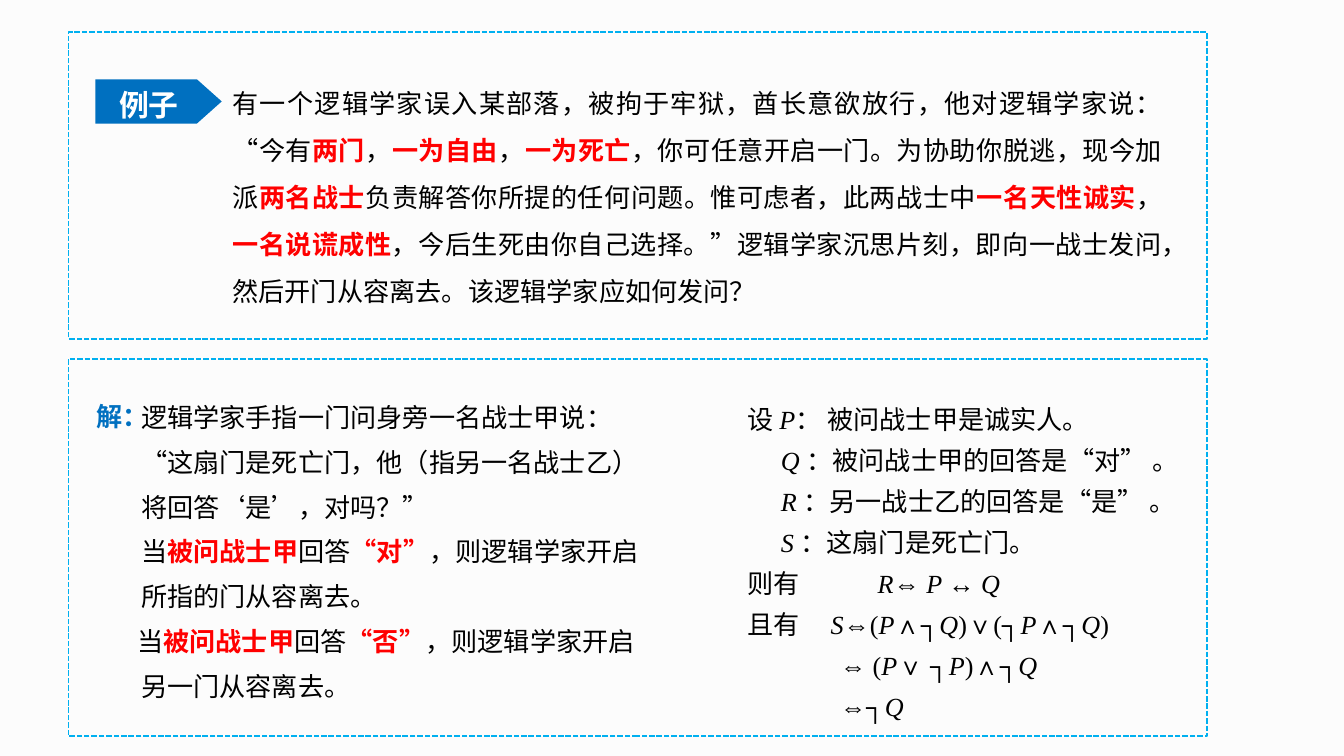
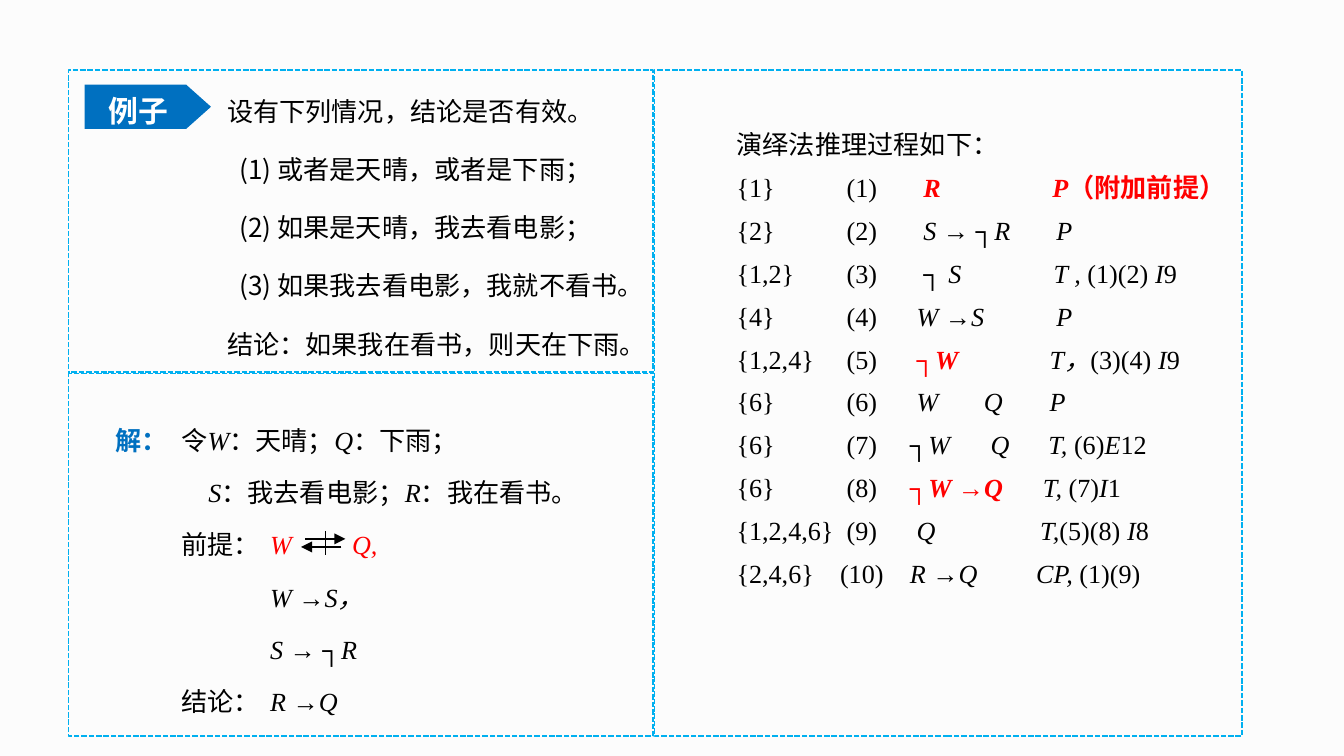
from dataclasses import dataclass
from typing import Iterator, Optional, Union

from lxml.etree import SubElement
from pptx import Presentation
from pptx.dml.color import RGBColor
from pptx.enum.dml import MSO_LINE
from pptx.enum.shapes import MSO_CONNECTOR, MSO_SHAPE
from pptx.enum.text import MSO_ANCHOR, MSO_AUTO_SIZE, PP_ALIGN
from pptx.oxml.ns import qn
from pptx.util import Inches, Pt

BACKGROUND, BLACK, WHITE = "FCFCFC", "000000", "FFFFFF"
RED, BLUE, FRAME_BLUE = "FF0000", "0070C0", "00B0F0"
SANS, SERIF = "Noto Sans CJK SC", "Times New Roman"

# Each mark switches its format on, and off again when it recurs.
MARKS = {
    "_": {"italic": True},
    "^": {"bold": True, "color": RED},
    "~": {"color": RED},
    "#": {"bold": True, "color": BLUE},
    "@": {"name": "Cabin"},
}


@dataclass(frozen=True)
class Box:
    left: float
    top: float
    width: float
    height: float

    def lengths(self) -> tuple:
        return tuple(Inches(v) for v in (self.left, self.top, self.width, self.height))


@dataclass(frozen=True)
class Line:
    text: str
    indent: float = 0
    tabs: tuple[float, ...] = ()


@dataclass(frozen=True)
class TextBlock:
    box: Box
    lines: list[Line]
    spacing: Union[float, Pt]
    space_before: float = 0
    font: str = SERIF
    align: Optional[PP_ALIGN] = None


@dataclass(frozen=True)
class Stroke:
    start: tuple[float, float]
    end: tuple[float, float]
    arrow: bool = False


def rgb(value: str) -> RGBColor:
    return RGBColor.from_string(value)


def marked_pieces(text: str) -> Iterator[tuple[str, dict]]:
    """Split marked text into plain pieces with their formats."""
    active, piece = {}, ""
    for character in text:
        if character not in MARKS:
            piece += character
            continue
        if piece:
            yield piece, {k: v for formats in active.values() for k, v in formats.items()}
            piece = ""
        if character in active:
            del active[character]
        else:
            active[character] = MARKS[character]
    if piece:
        yield piece, {}


def add_run(paragraph, text: str, color: str = BLACK, **formats) -> None:
    run = paragraph.add_run()
    run.text = text
    for name, value in formats.items():
        setattr(run.font, name, value)
    run.font.color.rgb = rgb(color)
    SubElement(run._r.get_or_add_rPr(), qn("a:ea")).set("typeface", SANS)


def set_indent(paragraph, line: Line) -> None:
    """Set the left margin or the tab stops, whichever the line has."""
    properties = paragraph._p.get_or_add_pPr()
    if line.indent:
        properties.set("marL", str(Inches(line.indent)))
        properties.set("indent", "0")
    if line.tabs:
        tab_list = SubElement(properties, qn("a:tabLst"))
        for position in line.tabs:
            tab = SubElement(tab_list, qn("a:tab"))
            tab.set("pos", str(Inches(position)))
            tab.set("algn", "l")


def add_text_block(slide, block: TextBlock) -> None:
    frame = slide.shapes.add_textbox(*block.box.lengths()).text_frame
    frame.word_wrap = True
    frame.margin_left = frame.margin_right = Inches(0.08)
    frame.margin_top = frame.margin_bottom = Inches(0.04)
    for index, line in enumerate(block.lines):
        paragraph = frame.add_paragraph() if index else frame.paragraphs[0]
        set_indent(paragraph, line)
        paragraph.alignment = block.align
        paragraph.line_spacing = block.spacing
        paragraph.space_before = Pt(block.space_before if index else 0)
        for text, formats in marked_pieces(line.text):
            add_run(paragraph, text, **{"size": Pt(14), "name": block.font, **formats})


def add_frame(slide, box: Box) -> None:
    shape = slide.shapes.add_shape(MSO_SHAPE.RECTANGLE, *box.lengths())
    shape.shadow.inherit = False
    shape.fill.background()
    shape.line.color.rgb = rgb(FRAME_BLUE)
    shape.line.width = Pt(1)
    shape.line.dash_style = MSO_LINE.SQUARE_DOT


def add_example_tag(slide, left: float, top: float) -> None:
    shape = slide.shapes.add_shape(MSO_SHAPE.PENTAGON, *Box(left, top, 0.94, 0.33).lengths())
    shape.adjustments[0] = 0.56
    shape.shadow.inherit = False
    shape.fill.solid()
    shape.fill.fore_color.rgb = rgb(BLUE)
    shape.line.fill.background()
    shape.text_frame.vertical_anchor = MSO_ANCHOR.MIDDLE
    paragraph = shape.text_frame.paragraphs[0]
    paragraph.alignment = PP_ALIGN.CENTER
    paragraph.line_spacing = 1.2
    add_run(paragraph, "例子 ", WHITE, size=Pt(16), name=SANS, bold=True)


def add_solution_label(slide, box: Box) -> None:
    frame = slide.shapes.add_textbox(*box.lengths()).text_frame
    frame.word_wrap = False
    frame.auto_size = MSO_AUTO_SIZE.SHAPE_TO_FIT_TEXT
    add_run(frame.paragraphs[0], "解：", BLUE, size=Pt(14), name=SANS, bold=True)


def add_exclusive_or_sign(slide, strokes: list[Stroke]) -> None:
    group = slide.shapes.add_group_shape()
    for stroke in strokes:
        points = (Inches(value) for value in stroke.start + stroke.end)
        connector = group.shapes.add_connector(MSO_CONNECTOR.STRAIGHT, *points)
        connector.line.color.rgb = rgb(BLACK)
        connector.line.width = Pt(0.75)
        properties = connector._element.spPr
        if stroke.arrow:
            SubElement(properties.find(qn("a:ln")), qn("a:tailEnd")).set("type", "triangle")
        SubElement(properties, qn("a:effectLst"))


TRIBE_PUZZLE = TextBlock(
    Box(1.65, 0.49, 7.08, 1.78),
    [Line(
        "有一个逻辑学家误入某部落，被拘于牢狱，酋长意欲放行，他对逻辑学家说：“今有^两门^，"
        "^一为自由^，^一为死亡^，你可任意开启一门。为协助你脱逃，现今加派^两名战士^"
        "负责解答你所提的任何问题。惟可虑者，此两战士中^一名天性诚实^，^一名说谎成性^，"
        "今后生死由你自己选择。”逻辑学家沉思片刻，即向一战士发问，然后开门从容离去。"
        "该逻辑学家应如何发问？"
    )],
    spacing=1.5, align=PP_ALIGN.JUSTIFY,
)
TRIBE_ANSWER = TextBlock(
    Box(0.62, 2.93, 4.39, 2.44),
    [
        Line("逻辑学家手指一门问身旁一名战士甲说：", 0.35),
        Line("“这扇门是死亡门，他（指另一名战士乙）", 0.35),
        Line("将回答‘是’，对吗？”", 0.35),
        Line("当^被问战士甲^回答^“对”^，则逻辑学家开启", 0.35),
        Line("所指的门从容离去。", 0.35),
        Line("当^被问战士甲^回答^“否”^，则逻辑学家开启", 0.32),
        Line("另一门从容离去。", 0.35),
    ],
    spacing=Pt(18), space_before=6, font=SANS,
)
TRIBE_FORMULAS = TextBlock(
    Box(5.48, 2.93, 4.02, 2.41),
    [
        Line("设 _P_： 被问战士甲是诚实人。"),
        Line("_Q _：被问战士甲的回答是“对” 。", 0.25),
        Line("_R _：另一战士乙的回答是“是” 。", 0.25),
        Line("_S _：这扇门是死亡门。", 0.25),
        Line("则有\t_R_⇔_ P _↔ _Q_", tabs=(0.97,)),
        Line("且有\t_S_⇔(_P_∧┐_Q_)∨(┐_P_∧┐_Q_)", tabs=(0.62,)),
        Line("⇔ (_P_∨ ┐_P_)∧┐_Q_", 0.69),
        Line("⇔┐_Q_", 0.69),
    ],
    spacing=Pt(19), space_before=3,
)
WEATHER_PROBLEM = TextBlock(
    Box(1.61, 0.55, 3.34, 2.18),
    [
        Line("设有下列情况，结论是否有效。"),
        Line("(1) 或者是天晴，或者是下雨；", 0.09),
        Line("(2) 如果是天晴，我去看电影；", 0.09),
        Line("(3) 如果我去看电影，我就不看书。", 0.09),
        Line("结论：如果我在看书，则天在下雨。"),
    ],
    spacing=1.5, space_before=6, font=SANS, align=PP_ALIGN.JUSTIFY,
)
PREMISE_TABS = (0.49, 1.15, 1.76)
WEATHER_PREMISES = TextBlock(
    Box(0.78, 3, 4.04, 2.35),
    [
        Line("#解：#\t令_W_：天晴；_Q_：下雨；", tabs=PREMISE_TABS),
        Line("_S_：我去看电影；_R_：我在看书。", 0.69),
        Line("\t前提：\t~_W\tQ,_~", tabs=PREMISE_TABS),
        Line("\t\t_W _→_S，_", tabs=PREMISE_TABS),
        Line("\t\t_S _→ ┐_R_", tabs=PREMISE_TABS),
        Line("\t结论：\t_R _→_Q_", tabs=PREMISE_TABS),
    ],
    spacing=1.5, space_before=2.8,
)
WEATHER_PROOF = TextBlock(
    Box(5.4, 0.87, 4.11, 4.61),
    [
        Line("@演绎法@推理过程如下："),
        Line("{1}\t(1)\t^_R\tP_（附加前提）^", tabs=(0.82, 1.39, 2.35)),
        Line("{2}\t(2)\t_S _→ ┐_R\tP_", tabs=(0.82, 1.39, 2.38)),
        Line("{1,2}\t(3)\t┐ _S\tT , _(1)(2) _I_9", tabs=(0.82, 1.39, 2.36)),
        Line("{4}\t(4)\t_W _→_S\tP_", tabs=(0.82, 1.34, 2.38)),
        Line("{1,2,4}\t(5)\t^┐_W_^\t_T，_(3)(4) _I_9", tabs=(0.82, 1.34, 2.33)),
        Line("{6}\t(6)\t_W\tQ\tP_", tabs=(0.82, 1.34, 1.84, 2.33)),
        Line("{6}\t(7)\t┐_W\tQ\tT, _(6)_E_12", tabs=(0.82, 1.29, 1.89, 2.32)),
        Line("{6}\t(8)\t^┐_W _→_Q_^\t_T, _(7)_I_1", tabs=(0.82, 1.29, 2.28)),
        Line("{1,2,4,6}\t(9)\t_Q\tT,_(5)(8) _I_8", tabs=(0.82, 1.34, 2.26)),
        Line("{2,4,6}\t(10)\t_R _→_Q\tCP, _(1)(9)", tabs=(0.77, 1.29, 2.23)),
    ],
    spacing=1.2, space_before=2.8,
)
EXCLUSIVE_OR = [
    Stroke((2.27, 4.01), (2.57, 4.01), arrow=True),
    Stroke((2.54, 4.07), (2.24, 4.07), arrow=True),
    Stroke((2.42, 3.95), (2.42, 4.13)),
]


def add_slide(presentation, blocks: list[TextBlock], frames: list[Box], tag: tuple[float, float]):
    slide = presentation.slides.add_slide(presentation.slide_layouts[6])
    for block in blocks:
        add_text_block(slide, block)
    add_example_tag(slide, *tag)
    for frame in frames:
        add_frame(slide, frame)
    return slide


def main() -> None:
    presentation = Presentation()
    presentation.slide_width = Inches(10)
    presentation.slide_height = Inches(10) * 9 // 16
    background = presentation.slide_master.background.fill
    background.solid()
    background.fore_color.rgb = rgb(BACKGROUND)

    tribe = add_slide(
        presentation, [TRIBE_ANSWER, TRIBE_PUZZLE, TRIBE_FORMULAS],
        [Box(0.51, 2.67, 8.47, 2.81), Box(0.51, 0.24, 8.47, 2.28)], (0.71, 0.59),
    )
    add_solution_label(tribe, Box(0.62, 2.93, 0.59, 0.34))

    weather = add_slide(
        presentation, [WEATHER_PROBLEM, WEATHER_PREMISES, WEATHER_PROOF],
        [Box(0.51, 2.77, 4.35, 2.71), Box(4.87, 0.52, 4.37, 4.96), Box(0.51, 0.52, 4.35, 2.26)],
        (0.63, 0.63),
    )
    add_exclusive_or_sign(weather, EXCLUSIVE_OR)
    presentation.save("out.pptx")


if __name__ == "__main__":
    main()
